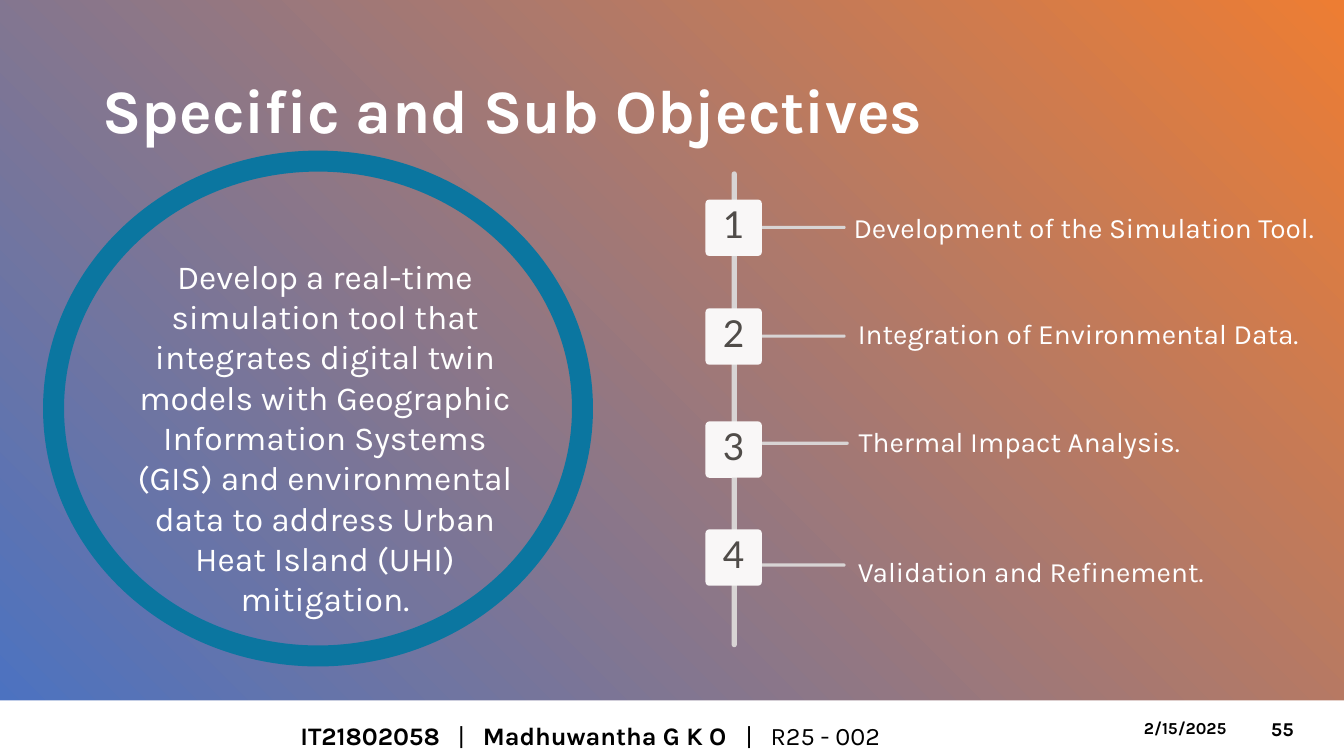
from pptx import Presentation
from pptx import util as u
from pptx.dml.color import RGBColor
from pptx.enum import shapes, text

Cm, Pt = u.Cm, u.Pt
SHAPE = shapes.MSO_SHAPE
ALIGN = text.PP_ALIGN
ANCHOR = text.MSO_ANCHOR


def color(hex_code):
    return RGBColor.from_string(hex_code)


class ObjectivesSlide:
    font = "Karla"
    digit_font = "Lato"
    white, black, ring = "FFFFFF", "000000", "0B76A0"
    rail, badge, digit = "D8D4D4", "F9F7F7", "504C49"

    def __init__(self, prs):
        self.slide = prs.slides.add_slide(prs.slide_layouts[6])

    def background(self, start, end, angle):
        fill = self.slide.background.fill
        fill.gradient()
        fill.gradient_angle = angle
        for stop, hex_code, position in zip(fill.gradient_stops, (start, end), (0, 1)):
            stop.color.rgb = color(hex_code)
            stop.position = position

    def shape(self, kind, box, fill=None, line=None, width=0, rounding=None):
        item = self.slide.shapes.add_shape(kind, *map(Cm, box))
        item.shadow.inherit = False
        if rounding is not None:
            item.adjustments[0] = rounding
        if fill:
            item.fill.solid()
            item.fill.fore_color.rgb = color(fill)
        else:
            item.fill.background()
        if line:
            item.line.color.rgb = color(line)
            item.line.width = Pt(width)
        else:
            item.line.fill.background()

    def bar(self, *box):
        self.shape(SHAPE.ROUNDED_RECTANGLE, box, self.rail, rounding=0.5)

    def words(self, box, runs, size, hex_code, font=None, align=ALIGN.LEFT,
              anchor=ANCHOR.TOP, spacing=None, tight=False):
        frame = self.slide.shapes.add_textbox(*map(Cm, box)).text_frame
        frame.word_wrap = not tight
        frame.vertical_anchor = anchor
        if tight:
            frame.margin_left = frame.margin_right = 0
            frame.margin_top = frame.margin_bottom = 0
        paragraph = frame.paragraphs[0]
        paragraph.alignment = align
        if spacing:
            paragraph.line_spacing = spacing
        for content, bold in runs:
            run = paragraph.add_run()
            run.text = content
            run.font.name = font or self.font
            run.font.size = Pt(size)
            run.font.bold = bold
            run.font.color.rgb = color(hex_code)

    def objective(self, number, label, badge_top, branch, label_box, spacing):
        badge_left, side = 17.78, 1.42
        self.bar(*branch, 2.21, 0.08)
        self.shape(SHAPE.ROUNDED_RECTANGLE, (badge_left, badge_top, side, side),
                   self.badge, rounding=0.067)
        self.words((badge_left + 0.41, badge_top + 0.23, 0.6, 0.94),
                   [(str(number), False)], 26.5, self.digit, self.digit_font,
                   ALIGN.CENTER, spacing=Pt(26.5), tight=True)
        self.words(label_box, [(label, False)], 20, self.white,
                   spacing=spacing, tight=True)


def main():
    prs = Presentation()
    prs.slide_width, prs.slide_height = Cm(33.87), Cm(19.05)
    page = ObjectivesSlide(prs)
    page.background("4872C4", "ED7D33", 45)

    page.shape(SHAPE.RECTANGLE, (-0.05, 17.65, 33.92, 1.4), page.white)
    footer = [
        ((31.78, 17.86, 1.88, 1.02), [("55", True)], 14),
        ((28.58, 17.96, 2.97, 0.76), [("2/15/2025", True)], 12),
        ((7.32, 18.03, 18.92, 1.02),
         [("IT21802058", True), ("   |   ", False),
          ("Madhuwantha G K O   ", True), ("|   R25 - 002", False)], 18),
    ]
    for box, runs, size in footer:
        page.words(box, runs, size, page.black, anchor=ANCHOR.MIDDLE)

    page.words((2.34, 1.02, 29.21, 3.68), [("Specific and Sub Objectives", True)],
               44, page.white, anchor=ANCHOR.MIDDLE, spacing=0.9)

    goal = ("Develop a real-time simulation tool that integrates digital twin "
            "models with Geographic Information Systems (GIS) and environmental "
            "data to address Urban Heat Island (UHI) mitigation.")
    page.words((2.87, 6.32, 10.64, 8.46), [(goal, False)], 24, page.white,
               align=ALIGN.CENTER)
    page.shape(SHAPE.FLOWCHART_CONNECTOR, (1.35, 4.06, 13.33, 12.47),
               line=page.ring, width=15)

    page.bar(18.44, 4.32, 0.13, 11.99)
    objectives = [
        ("Development of the Simulation Tool.", 5.03, (19.1, 5.69),
         (21.51, 5.31, 19.58, 1.98), None),
        ("Integration of Environmental Data.", 7.77, (19.1, 8.43),
         (21.62, 7.98, 15.24, 0.99), None),
        ("Thermal Impact Analysis.", 10.62, (19.18, 11.13),
         (21.64, 10.69, 9.12, 0.99), None),
        ("Validation and Refinement.", 13.34, (19.1, 14.2),
         (21.62, 13.84, 9.12, 0.99), Pt(27.5)),
    ]
    for number, details in enumerate(objectives, 1):
        page.objective(number, *details)

    prs.save("out.pptx")


if __name__ == "__main__":
    main()
